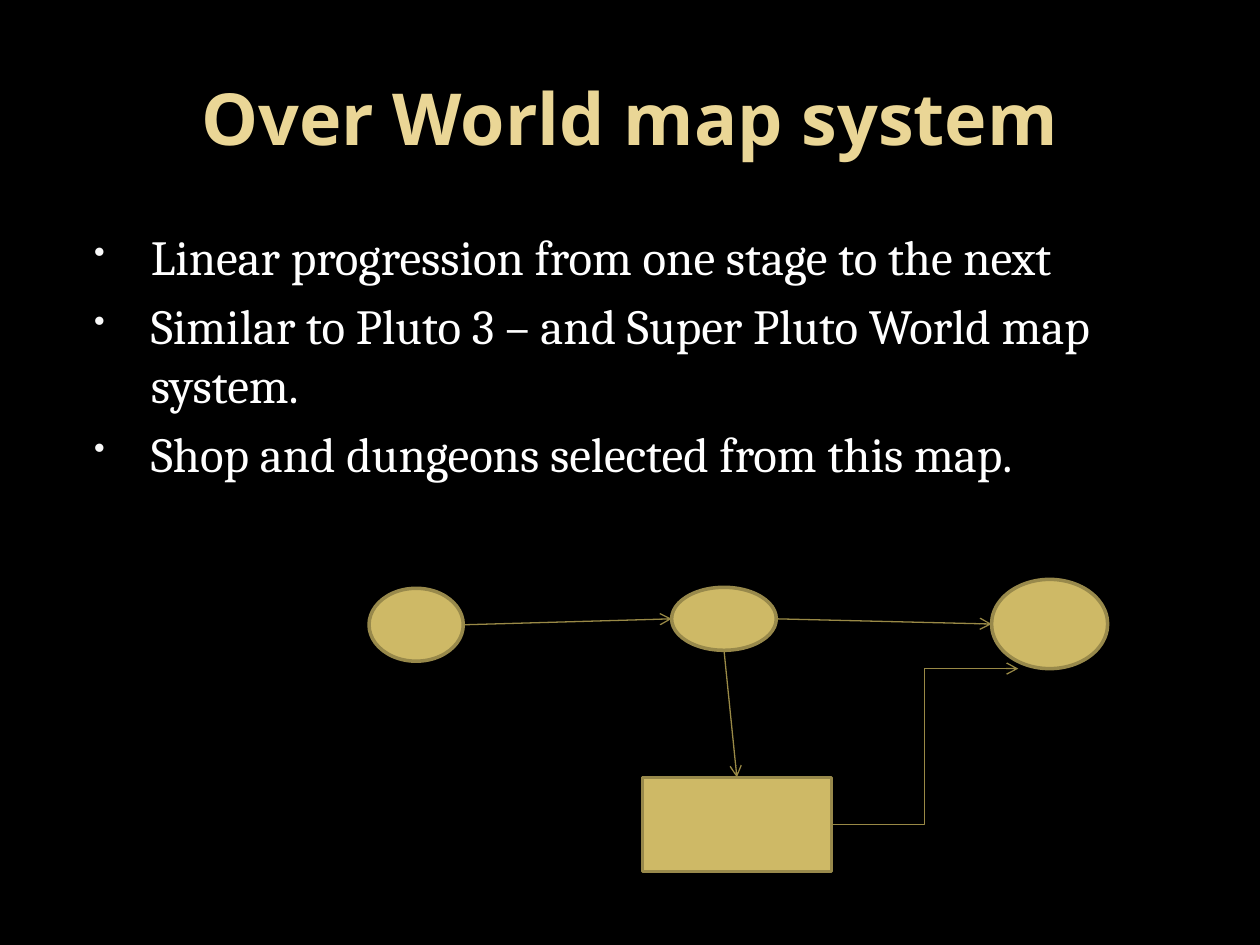
from lxml.etree import SubElement
from pptx import Presentation
from pptx.dml.color import RGBColor
from pptx.enum.shapes import MSO_CONNECTOR, MSO_SHAPE
from pptx.enum.text import MSO_ANCHOR, PP_ALIGN
from pptx.oxml.ns import qn
from pptx.util import Cm, Pt

BLACK = RGBColor(0x00, 0x00, 0x00)
WHITE = RGBColor(0xFF, 0xFF, 0xFF)
CREAM = RGBColor(0xEA, 0xD6, 0x96)
GOLD = RGBColor(0xCE, 0xB9, 0x66)
EDGE = RGBColor(0x98, 0x89, 0x4B)
WIRE = RGBColor(0x99, 0x89, 0x46)

TITLE = "Over World map system"
POINTS = [
    "Linear progression from one stage to the next",
    "Similar to Pluto 3 – and Super Pluto World map system.",
    "Shop and dungeons selected from this map.",
]
NODES = {
    "first": (MSO_SHAPE.OVAL, 7.44, 11.86, 1.9, 1.47),
    "second": (MSO_SHAPE.OVAL, 13.54, 11.84, 2.11, 1.27),
    "shop": (MSO_SHAPE.RECTANGLE, 12.95, 15.67, 3.81, 1.9),
    "last": (MSO_SHAPE.OVAL, 19.99, 11.68, 2.34, 1.8),
}
SIDES = {"top": (0.5, 0), "left": (0, 0.5), "right": (1, 0.5),
         "bottom": (0.5, 1), "corner": (0.23, 1)}
LINKS = [
    ("first", "right", "second", "left", MSO_CONNECTOR.STRAIGHT),
    ("second", "bottom", "shop", "top", MSO_CONNECTOR.STRAIGHT),
    ("second", "right", "last", "left", MSO_CONNECTOR.STRAIGHT),
    ("shop", "right", "last", "corner", MSO_CONNECTOR.ELBOW),
]


def add_text(top, height, lines, name, size, color):
    frame = slide.shapes.add_textbox(Cm(1.27), Cm(top), Cm(22.86), Cm(height)).text_frame
    frame.word_wrap = True
    frame.text = "\n".join(lines)
    for par in frame.paragraphs:
        par.font.name = name
        par.font.size = Pt(size)
        par.font.color.rgb = color
    return frame


def add_bullet(par):
    props = par._p.get_or_add_pPr()
    props.set("marL", str(Cm(1.52)))
    props.set("indent", str(Cm(-1.14)))
    tint = props.makeelement(qn("a:buClr"), {})
    SubElement(tint, qn("a:srgbClr"), val="F9F9F9")
    size = props.makeelement(qn("a:buSzPct"), {"val": "65000"})
    mark = props.makeelement(qn("a:buChar"), {"char": "•"})
    font = props.find(qn("a:defRPr"))
    for item in (tint, size, mark):
        font.addprevious(item)
    par.space_before = Pt(5.6)


def find_point(node, side):
    _, left, top, width, height = NODES[node]
    across, down = SIDES[side]
    return Cm(left + across * width), Cm(top + down * height)


deck = Presentation()
deck.slide_width, deck.slide_height = Cm(25.4), Cm(19.05)
slide = deck.slides.add_slide(deck.slide_layouts[6])
slide.background.fill.solid()
slide.background.fill.fore_color.rgb = BLACK

title = add_text(0.76, 3.18, [TITLE], "Noto Sans", 41, CREAM)
title.vertical_anchor = MSO_ANCHOR.MIDDLE
title.paragraphs[0].alignment = PP_ALIGN.CENTER
title.paragraphs[0].font.bold = True

for par in add_text(4.45, 13.08, POINTS, "Cambria", 28, WHITE).paragraphs:
    add_bullet(par)

for kind, *box in NODES.values():
    shape = slide.shapes.add_shape(kind, *map(Cm, box))
    shape.shadow.inherit = False
    shape.fill.solid()
    shape.fill.fore_color.rgb = GOLD
    shape.line.color.rgb = EDGE
    shape.line.width = Pt(2)

for start, exit, end, entry, kind in LINKS:
    link = slide.shapes.add_connector(kind, *find_point(start, exit), *find_point(end, entry))
    link.line.color.rgb = WIRE
    link.line.width = Pt(0.75)
    SubElement(link.line._get_or_add_ln(), qn("a:tailEnd"), type="arrow")
    SubElement(link._element.spPr, qn("a:effectLst"))

deck.save("out.pptx")
